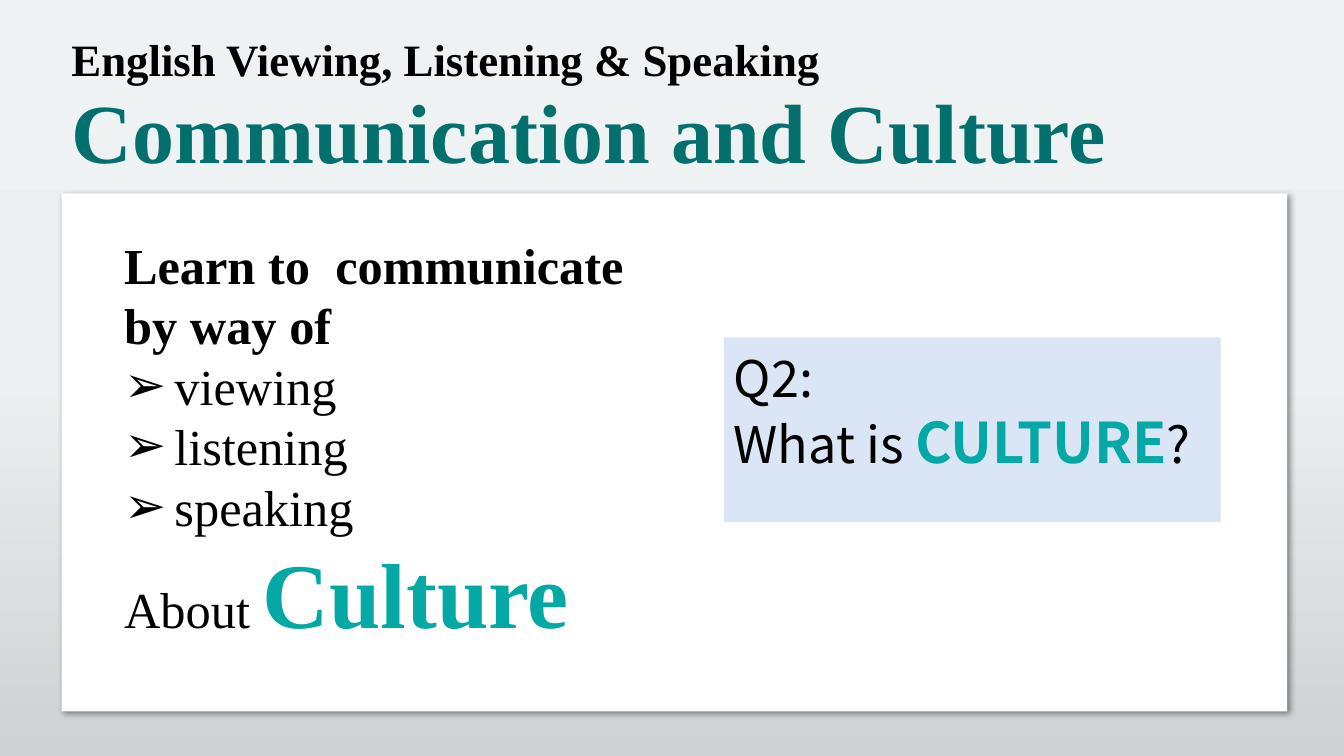
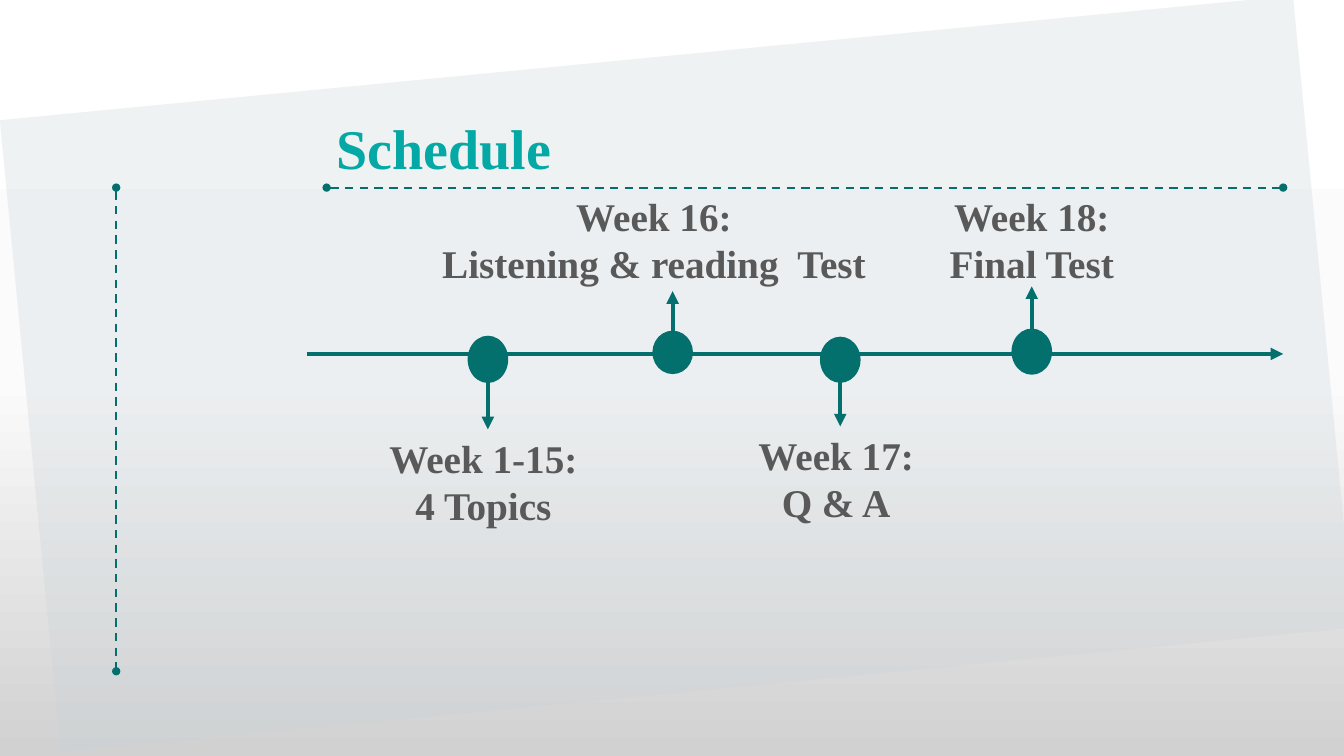
from copy import deepcopy
from dataclasses import dataclass

from lxml.etree import SubElement
from pptx import Presentation
from pptx.dml.color import RGBColor as Color
from pptx.enum.dml import MSO_LINE_DASH_STYLE as Dash
from pptx.enum.shapes import MSO_CONNECTOR as ConnectorKind, MSO_SHAPE as ShapeKind
from pptx.enum.text import MSO_ANCHOR as Anchor, MSO_AUTO_SIZE as AutoSize, PP_ALIGN as Align
from pptx.oxml.ns import qn
from pptx.util import Pt


@dataclass(frozen=True)
class Theme:
    black: Color = Color(0, 0, 0)
    white: Color = Color(255, 255, 255)
    gray: Color = Color.from_string("595959")
    dark_teal: Color = Color.from_string("03706E")
    teal: Color = Color.from_string("04A8A4")
    haze: Color = Color.from_string("CAD3D9")
    pale_blue: Color = Color.from_string("DAE6F6")
    background: tuple = ((0, "FFFFFF"), (0.5, "FBFBFB"), (1, "D1D1D1"))
    serif: str = "Times New Roman"
    sans: str = "Noto Sans CJK SC"
    title: int = 60
    heading: int = 40
    course: int = 32
    body: int = 36
    key_word: int = 66
    question_word: int = 40
    label: int = 28
    leading: float = 1.2


theme = Theme()


def add_filled(slide, kind, box, color):
    shape = slide.shapes.add_shape(kind, *map(Pt, box))
    shape.shadow.inherit = False
    shape.fill.solid()
    shape.fill.fore_color.rgb = color
    shape.line.fill.background()
    return shape


def write(shape, text, size, color, bold=True, font=theme.serif,
          align=Align.LEFT, leading=theme.leading):
    """Fill a shape with text, one paragraph a line, at a fixed line pitch."""
    frame = shape.text_frame
    frame.text = text
    frame.word_wrap = True
    frame.auto_size = AutoSize.NONE
    frame.vertical_anchor = Anchor.TOP
    for paragraph in frame.paragraphs:
        paragraph.alignment = align
        paragraph.line_spacing = Pt(round(size * leading, 1))
        paragraph.space_before = Pt(0)
        for run in paragraph.runs:
            run.font.name = font
            run.font.size = Pt(size)
            run.font.bold = bold
            run.font.color.rgb = color
    return frame.paragraphs


presentation = Presentation()
presentation.slide_width, presentation.slide_height = Pt(960), Pt(540)

# Shared background and translucent sheet
master = presentation.slide_master
background = master.background.fill
background.gradient()
background.gradient_angle = 270
stop_list = master.element.find(".//" + qn("a:gsLst"))
while len(stop_list) < len(theme.background):
    stop_list.append(deepcopy(stop_list[-1]))
for stop, (position, color) in zip(background.gradient_stops, theme.background):
    stop.position = position
    stop.color.rgb = Color.from_string(color)

slides = []
for layout_index, sheet_box, rotation in (
    (1, (0, 0, 960, 540), 0),
    (5, (19.4, 40.3, 928, 453.6), 174.5),
):
    slide = presentation.slides.add_slide(presentation.slide_layouts[layout_index])
    sheet = add_filled(slide, ShapeKind.RECTANGLE, sheet_box, theme.haze)
    sheet.rotation = rotation
    sheet_color = sheet.element.find(".//" + qn("a:srgbClr"))
    SubElement(sheet_color, qn("a:alpha"), val="29000")
    sheet.element.getparent().insert(2, sheet.element)
    slides.append(slide)
culture_slide, schedule_slide = slides

for placeholder, box in (
    (culture_slide.shapes.title, (44, 53.3, 784, 80)),
    (culture_slide.placeholders[1], (81.4, 163.4, 607, 305.3)),
    (schedule_slide.shapes.title, (233.3, 60.5, 578, 65.5)),
):
    placeholder.left, placeholder.top, placeholder.width, placeholder.height = map(Pt, box)

# Communication and Culture
panel = add_filled(culture_slide, ShapeKind.RECTANGLE, (44, 138.2, 875.5, 370), theme.white)
panel.element.getparent().insert(3, panel.element)
shadow = SubElement(panel.element.spPr.find(qn("a:effectLst")), qn("a:outerShdw"),
                    blurRad=str(Pt(4)), dist=str(Pt(3)), dir="2700000", algn="tl")
SubElement(SubElement(shadow, qn("a:srgbClr"), val="000000"), qn("a:alpha"), val="40000")

course = culture_slide.shapes.add_textbox(Pt(44), Pt(19.4), Pt(784), Pt(46))
write(course, "English Viewing, Listening & Speaking", theme.course, theme.black)
write(culture_slide.shapes.title, "Communication and Culture", theme.title, theme.dark_teal)

goals = write(
    culture_slide.placeholders[1],
    "Learn to  communicate\nby way of\nviewing\nlistening\nspeaking\nAbout ",
    theme.body, theme.black, bold=False,
)
for index, paragraph in enumerate(goals):
    properties = paragraph._p.get_or_add_pPr()
    bulleted = 2 <= index <= 4
    properties.set("marL", str(Pt(36 if bulleted else 0)))
    properties.set("indent", str(Pt(-36 if bulleted else 0)))
    if bulleted:
        SubElement(properties, qn("a:buChar"), char="➢")
    else:
        SubElement(properties, qn("a:buNone"))
for paragraph in goals[:2]:
    paragraph.runs[0].font.bold = True
goals[-1].line_spacing = Pt(round(theme.key_word * theme.leading, 1))

question_box = add_filled(culture_slide, ShapeKind.RECTANGLE, (517, 241, 355, 132), theme.pale_blue)
question = write(question_box, "Q2:\nWhat is ", theme.body, theme.black,
                 bold=False, font=theme.sans, leading=4 / 3)
question_box.text_frame.margin_top = Pt(2)

for paragraph, text, font, size, color, bold in (
    (goals[-1], "Culture", theme.serif, theme.key_word, theme.teal, True),
    (question[-1], "CULTURE", theme.sans, theme.question_word, theme.teal, True),
    (question[-1], "?", theme.sans, theme.body, theme.black, False),
):
    run = paragraph.add_run()
    run.text = text
    run.font.name = font
    run.font.size = Pt(size)
    run.font.bold = bold
    run.font.color.rgb = color

# Schedule
write(schedule_slide.shapes.title, "Schedule", theme.heading, theme.teal,
      leading=theme.leading * 1.35)

dot_width, label_height = 29, 74
lines = [
    ((83, 134), (83, 479.5), True),
    ((233.3, 134), (916.6, 134), True),
    ((219, 252.8), (916.6, 252.8), False),
]
# Dot centre, dot top, dot height, arrow tip, label left, label top, label width, label
for center, dot_top, dot_height, tip, left, top, width, label in (
    (348.5, 239.8, 33.8, 306.7, 267.8, 306.7, 155, "Week 1-15:\n4 Topics"),
    (480.5, 236.2, 31, 208, 286.6, 134, 361, "Week 16:\nListening & reading  Test"),
    (600.2, 240.5, 33, 304.6, 519.8, 304.6, 155, "Week 17:\nQ & A"),
    (737, 234.7, 33, 204.5, 659.5, 134, 155, "Week 18:\nFinal Test"),
):
    add_filled(schedule_slide, ShapeKind.OVAL,
               (center - dot_width / 2, dot_top, dot_width, dot_height), theme.dark_teal)
    lines.append(((center, dot_top + dot_height / 2), (center, tip), False))
    label_box = schedule_slide.shapes.add_textbox(Pt(left), Pt(top), Pt(width), Pt(label_height))
    write(label_box, label, theme.label, theme.gray, align=Align.CENTER)

for start, end, dashed in lines:
    connector = schedule_slide.shapes.add_connector(
        ConnectorKind.STRAIGHT, *map(Pt, start + end))
    connector.line.color.rgb = theme.dark_teal
    connector.line.width = Pt(1.5 if dashed else 3)
    outline = connector.element.spPr.find(qn("a:ln"))
    if dashed:
        connector.line.dash_style = Dash.DASH
        SubElement(outline, qn("a:headEnd"), type="oval")
    SubElement(outline, qn("a:tailEnd"), type="oval" if dashed else "triangle")
    SubElement(connector.element.spPr, qn("a:effectLst"))

presentation.save("out.pptx")
